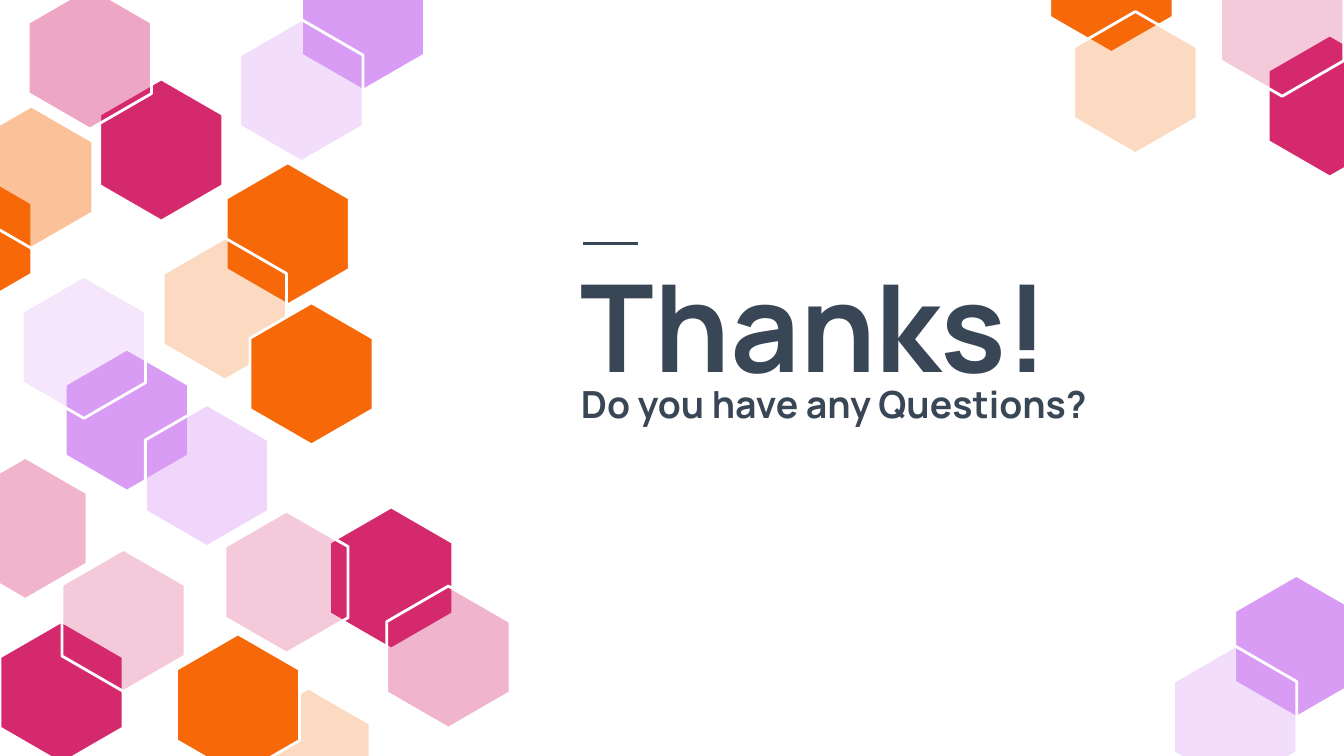
from dataclasses import dataclass

from lxml.etree import SubElement
from pptx import Presentation
from pptx.dml.color import RGBColor as Color
from pptx.enum.shapes import MSO_CONNECTOR as Connector
from pptx.enum.text import MSO_ANCHOR as Anchor, MSO_AUTO_SIZE as AutoSize, PP_ALIGN as Align
from pptx.oxml.ns import qn
from pptx.util import Pt


@dataclass(frozen=True)
class Theme:
    font: str = "Manrope"
    ink: str = "384655"
    white: str = "FFFFFF"
    pink: str = "D5296E"
    orange: str = "F76908"
    violet: str = "D99CF5"
    title_size: float = 65
    subtitle_size: float = 20
    line_width: float = 1.5


THEME = Theme()
HEX_WIDTH, HEX_HEIGHT = 66, 76.2
HEX_CORNERS = [(0.5, 0), (1, 0.25), (1, 0.75), (0.5, 1), (0, 0.75), (0, 0.25)]

HEXAGONS = [
    (0, 332.9, THEME.pink, 100),
    (53.4, 42.3, THEME.pink, 100),
    (121.2, 87.2, THEME.orange, 100),
    (-49, 89.8, THEME.orange, 100),
    (15.2, -7, THEME.pink, 41),
    (35, 187, THEME.violet, 100),
    (12, 147.9, THEME.violet, 25),
    (87.5, 127.5, THEME.orange, 25),
    (161.5, -27.7, THEME.violet, 100),
    (77.9, 216.7, THEME.violet, 41),
    (128.5, 10.5, THEME.violet, 34),
    (176.6, 271.6, THEME.pink, 100),
    (33.2, 294.3, THEME.pink, 25),
    (132.3, 368.6, THEME.orange, 25),
    (-16.2, 56.8, THEME.orange, 41),
    (207.2, 314, THEME.pink, 34),
    (120.5, 273.8, THEME.pink, 25),
    (562.4, -48, THEME.orange, 100),
    (679.4, 18.7, THEME.pink, 100),
    (-19.4, 245, THEME.pink, 34),
    (653.9, -24.6, THEME.pink, 25),
    (575.3, 6.2, THEME.orange, 25),
    (94.5, 339.6, THEME.orange, 100),
    (661.5, 308.2, THEME.violet, 100),
    (628.7, 346.1, THEME.violet, 34),
    (133.9, 162.2, THEME.orange, 100),
]


def add_span(para, text, *, size, color=THEME.ink, bold=True):
    span = para.add_run()
    span.text = text
    span.font.name = THEME.font
    span.font.size = Pt(size)
    span.font.bold = bold
    span.font.color.rgb = Color.from_string(color)


def add_title(page):
    box = page.shapes.title
    box.left, box.top, box.width, box.height = Pt(304), Pt(61.2), Pt(360), Pt(173.5)
    frame = box.text_frame
    frame.word_wrap = True
    frame.auto_size = AutoSize.NONE
    frame.vertical_anchor = Anchor.BOTTOM
    frame.margin_left = frame.margin_right = Pt(7.2)
    frame.margin_top = frame.margin_bottom = Pt(7.2)
    para = frame.paragraphs[0]
    para.alignment = Align.LEFT
    para.line_spacing = 0.7
    add_span(para, "Thanks!", size=THEME.title_size)
    para.add_line_break()
    add_span(para, "Do you have any Questions?", size=THEME.subtitle_size)


def add_rule(page, left, top, width):
    rule = page.shapes.add_connector(
        Connector.STRAIGHT, Pt(left), Pt(top), Pt(left + width), Pt(top)
    )
    rule.line.color.rgb = Color.from_string(THEME.ink)
    rule.line.width = Pt(THEME.line_width)
    SubElement(rule.element.spPr, qn("a:effectLst"))


def add_hexagon(page, left, top, color, opacity):
    corners = [
        (Pt(left + x * HEX_WIDTH), Pt(top + y * HEX_HEIGHT)) for x, y in HEX_CORNERS
    ]
    builder = page.shapes.build_freeform(*corners[0])
    builder.add_line_segments(corners[1:], close=True)
    hexagon = builder.convert_to_shape()
    hexagon.shadow.inherit = False
    hexagon.fill.solid()
    hexagon.fill.fore_color.rgb = Color.from_string(color)
    hexagon.line.color.rgb = Color.from_string(THEME.white)
    hexagon.line.width = Pt(THEME.line_width)
    if opacity < 100:
        fill_color = hexagon.element.spPr.find(qn("a:solidFill")).find(qn("a:srgbClr"))
        SubElement(fill_color, qn("a:alpha"), val=str(opacity * 1000))


def main():
    deck = Presentation()
    deck.slide_width, deck.slide_height = Pt(720), Pt(405)
    page = deck.slides.add_slide(deck.slide_layouts.get_by_name("Title Only"))
    page.background.fill.solid()
    page.background.fill.fore_color.rgb = Color.from_string(THEME.white)
    add_title(page)
    add_rule(page, left=312.4, top=130.3, width=29.4)
    for hexagon in HEXAGONS:
        add_hexagon(page, *hexagon)
    deck.save("out.pptx")


if __name__ == "__main__":
    main()
